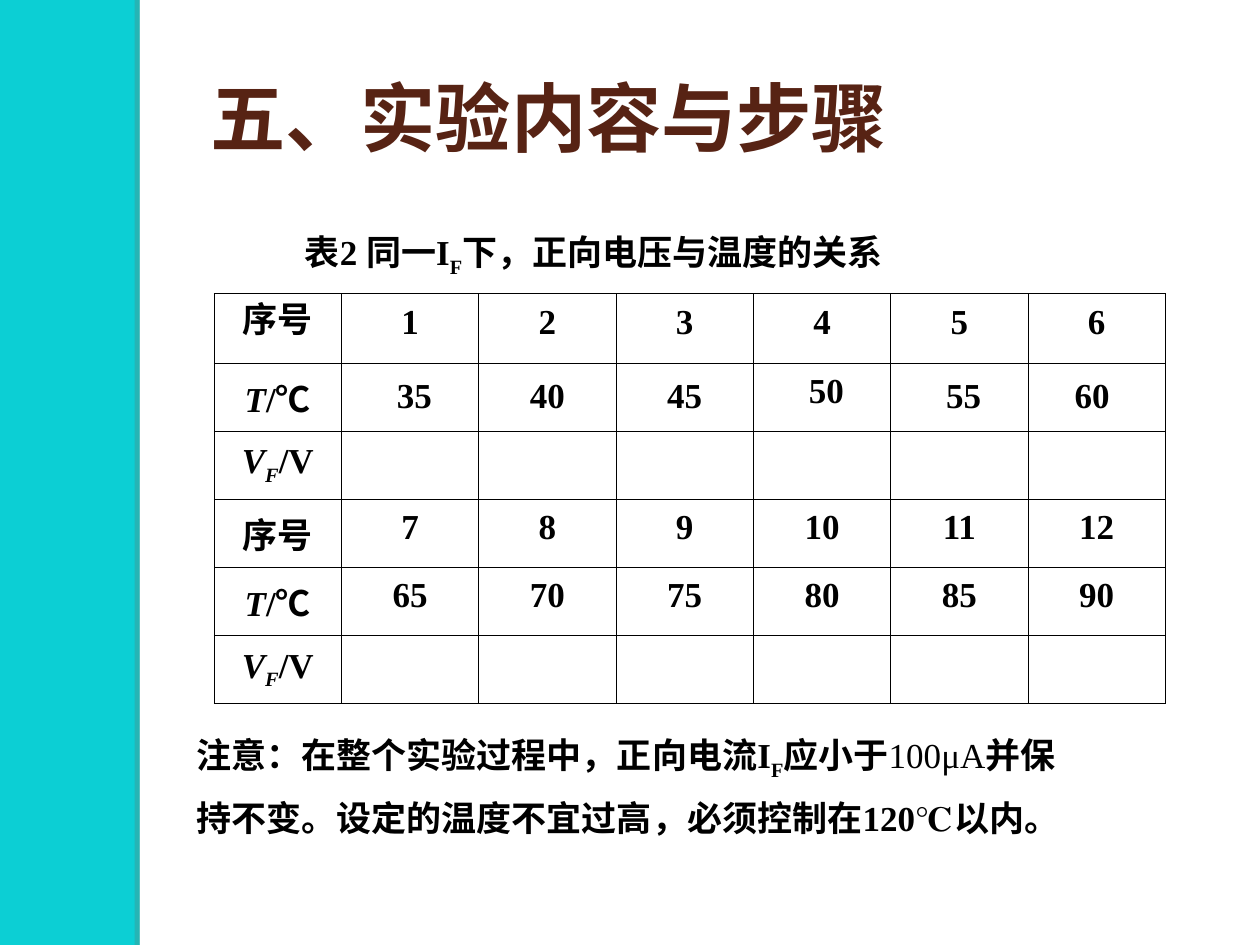
import pptx
import pptx.util
import pptx.dml.color
import pptx.enum.shapes
import pptx.enum.text
import pptx.oxml
import pptx.oxml.ns

RGBColor = pptx.dml.color.RGBColor
Pt = pptx.util.Pt
ALIGN = pptx.enum.text.PP_ALIGN
ANCHOR = pptx.enum.text.MSO_ANCHOR
RECT = pptx.enum.shapes.MSO_SHAPE.RECTANGLE

TEAL = RGBColor(0x0C, 0xCF, 0xD4)
WHITE = RGBColor(0xFF, 0xFF, 0xFF)
BROWN = RGBColor(0x57, 0x23, 0x14)
BLACK = RGBColor(0, 0, 0)
GREY = RGBColor(0x70, 0x6B, 0x5F)
HAN, SERIF, SANS = "Noto Sans CJK SC", "Times New Roman", "Calibri"
COLS, ROWS = 100, 75  # grid of the slide
NS = pptx.oxml.ns.nsdecls("a")


def write(frame, runs, size=20, color=BLACK, align=ALIGN.LEFT, space=None, font=SERIF):
    """Fill the first paragraph with (text, format) runs."""
    para = frame.paragraphs[0]
    para.alignment = align
    para.space_before = Pt(0)
    if space:
        para.line_spacing = space
    for text, look in runs:
        run = para.add_run()
        run.text = text
        run.font.size = Pt(size)
        run.font.bold = look.get("bold", True)
        run.font.italic = look.get("slant", False)
        run.font.color.rgb = color
        run.font.name = look.get("font", font)
        props = run.font._element
        props.append(pptx.oxml.parse_xml(f'<a:ea {NS} typeface="{HAN}"/>'))
        if look.get("sub"):
            props.set("baseline", "-25000")


class Deck:
    def __init__(self):
        self.show = pptx.Presentation()
        self.show.slide_width = pptx.util.Inches(10)
        self.show.slide_height = pptx.util.Inches(7.5)
        self.slide = self.show.slides.add_slide(self.show.slide_layouts[5])
        fill = self.slide.background.fill
        fill.solid()
        fill.fore_color.rgb = TEAL

    def grid(self, *cells):
        """Turn grid counts (across, down, across, down) into lengths."""
        sides = (self.show.slide_width / COLS, self.show.slide_height / ROWS)
        return [round(n * sides[i % 2]) for i, n in enumerate(cells)]

    def panel(self, *box):
        shape = self.slide.shapes.add_shape(RECT, *self.grid(*box))
        shape.shadow.inherit = False
        shape.fill.solid()
        shape.fill.fore_color.rgb = WHITE
        shape.line.fill.background()
        return shape

    def shade(self, shape):
        """Cast a faint shadow to the left."""
        effects = shape.element.spPr.find(pptx.oxml.ns.qn("a:effectLst"))
        effects.append(pptx.oxml.parse_xml(
            f'<a:outerShdw {NS} dist="{Pt(3)}" dir="10800000"><a:srgbClr val="{GREY}">'
            '<a:alpha val="25000"/></a:srgbClr></a:outerShdw>'))

    def title(self, text, *box):
        shape = self.slide.shapes.title
        shape.left, shape.top, shape.width, shape.height = self.grid(*box)
        shape.element.getparent().append(shape.element)  # in front of panels
        shape.text_frame.vertical_anchor = ANCHOR.MIDDLE
        write(shape.text_frame, [(text, {})], size=43, color=BROWN, font=HAN)

    def text(self, runs, *box, **look):
        frame = self.slide.shapes.add_textbox(*self.grid(*box)).text_frame
        frame.word_wrap = True
        write(frame, runs, **look)

    def cell(self, cell):
        cell.vertical_anchor = ANCHOR.MIDDLE
        cell.margin_left, cell.margin_top, cell.margin_right, cell.margin_bottom = (
            self.grid(0.7, 0.5, 0.7, 0.5))
        cell.fill.background()
        props = cell._tc.get_or_add_tcPr()
        for i, side in enumerate("LRTB"):
            props.insert(i, pptx.oxml.parse_xml(
                f'<a:ln{side} {NS} w="{Pt(0.45)}"><a:solidFill>'
                f'<a:srgbClr val="{BLACK}"/></a:solidFill></a:ln{side}>'))

    def table(self, data, widths, heights, left, top):
        """Draw rows of (label runs, values, columns with tight lines)."""
        box = self.grid(left, top, sum(widths), sum(heights))
        table = self.slide.shapes.add_table(len(heights), len(widths), *box).table
        table.first_row = table.horz_banding = False
        for col, wide in zip(table.columns, widths):
            col.width = self.grid(wide)[0]
        for row, tall in zip(table.rows, heights):
            row.height = self.grid(0, tall)[1]
        for r, (label, values, tight) in enumerate(data):
            texts = [label] + [[(value, {})] if value else [] for value in values]
            for c, runs in enumerate(texts):
                cell = table.cell(r, c)
                self.cell(cell)
                write(cell.text_frame, runs, align=ALIGN.CENTER,
                      space=Pt(16) if c in tight else None)


def main():
    deck = Deck()
    deck.panel(11.1, 0, 88.9, ROWS)
    deck.shade(deck.panel(11.1, 0, 0.8, ROWS))
    deck.title("五、实验内容与步骤", 15.7, 3, 82, 12.5)

    number = [("序号", {})]
    heat = [("T", {"slant": True}), ("/", {}), ("℃", {"font": HAN})]
    volt = [("V", {"slant": True}), ("F", {"slant": True, "sub": True}), ("/V", {})]
    blank = [""] * 6
    values = range(1, 7)
    data = [
        (number, [str(n) for n in range(1, 7)], range(7)),
        (heat, [" 35", "40", "45", " 50", " 55", "60 "], [4]),
        (volt, blank, []),
        (number, [str(n) for n in range(7, 13)], values),
        (heat, [str(n) for n in range(65, 95, 5)], values),
        (volt, blank, []),
    ]
    deck.table(data, [10.1] + [10.9] * 6, [5.5] + [5.4] * 5, 17, 23.3)

    deck.text([("表", {}), ("2 ", {"font": SERIF}), ("同一", {}),
               ("I", {"font": SERIF}), ("F", {"font": SERIF, "sub": True}),
               ("下，正向电压与温度的关系", {})],
              23.2, 17.8, 55.1, 4.8, font=SANS)
    deck.text([("注意：在整个实验过程中，正向电流I", {}), ("F", {"sub": True}),
               ("应小于", {}), ("100μA", {"bold": False}),
               ("并保持不变。设定的温度不宜过高，必须控制在120℃以内。", {})],
              14.6, 56.4, 71.7, 10.6, space=1.35)
    deck.show.save("out.pptx")


if __name__ == "__main__":
    main()
